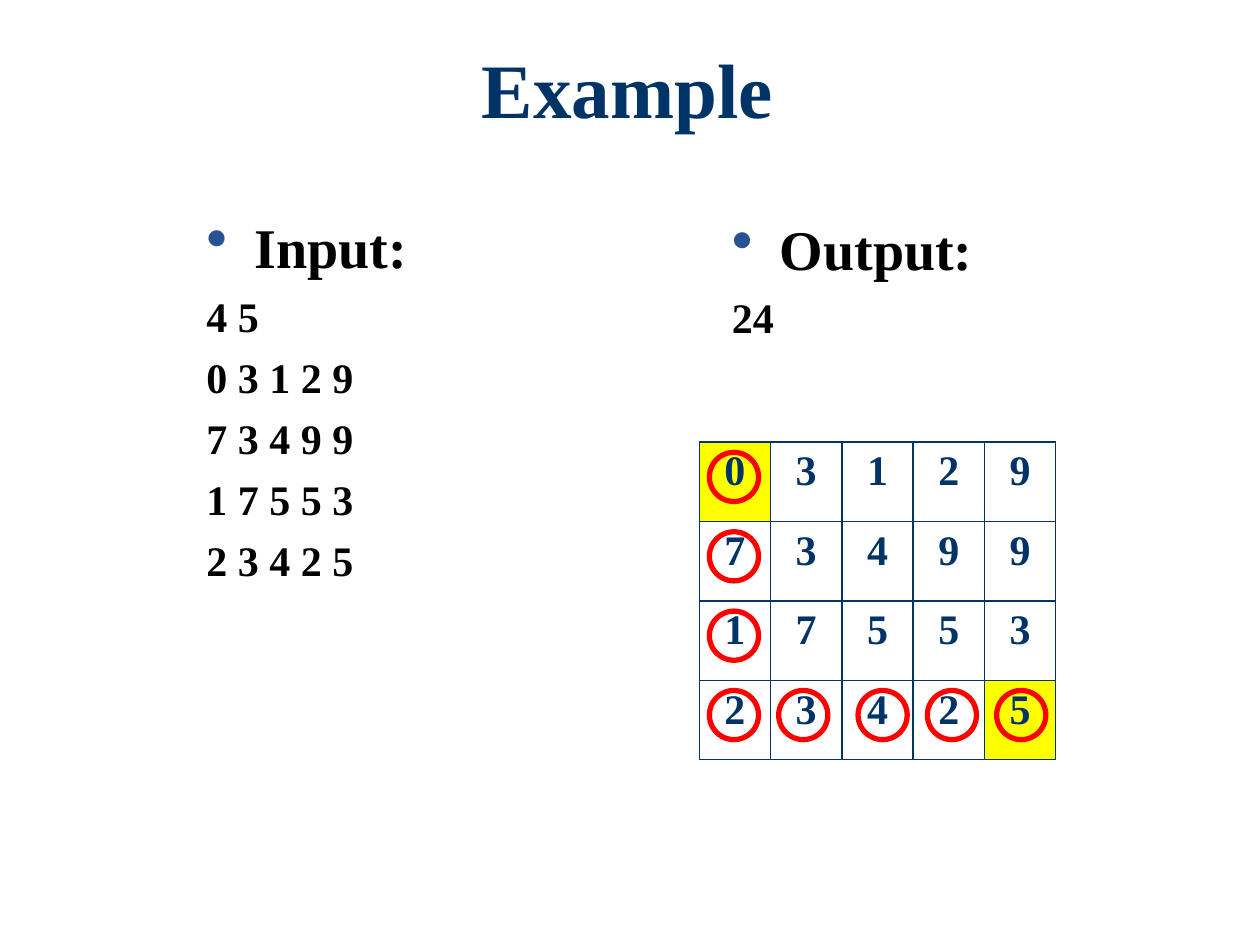
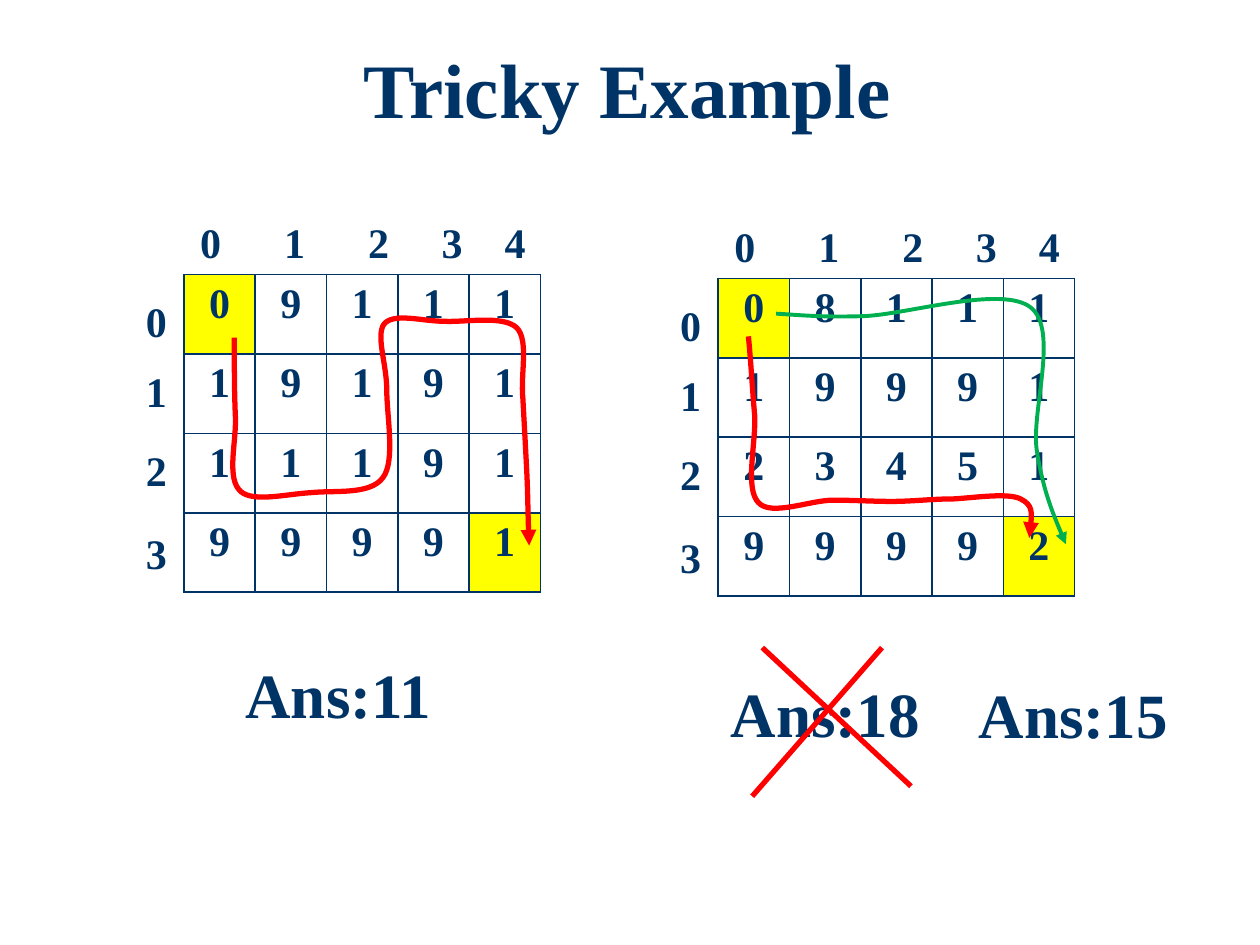
from lxml import etree
from pptx import Presentation
from pptx import util as u
from pptx.dml.color import RGBColor
from pptx.enum import shapes, text
from pptx.oxml.ns import qn

PX = 9144
NAVY, RED, GREEN, BLACK = "003366", "FF0000", "00B050", "000000"
YELLOW, WHITE, BLUE = "FFFF00", "FFFFFF", "275393"
LEFT, MID = text.PP_ALIGN.LEFT, text.PP_ALIGN.CENTER


def rgb(code):
    return RGBColor.from_string(code)


def node(root, tag, **attrs):
    return etree.SubElement(root, qn("a:" + tag), attrs)


def write(para, words, size=24, color=NAVY, align=LEFT, before=0, lines=None,
          bullet=False, tabs=()):
    props = para._p.get_or_add_pPr()
    if bullet:
        props.set("marL", str(38 * PX))
        props.set("indent", str(-38 * PX))
        node(node(props, "buClr"), "srgbClr", val=BLUE)
        node(props, "buSzPct", val="110000")
        node(props, "buChar", char="•")
    if tabs:
        stops = node(props, "tabLst")
        for stop in tabs:
            node(stops, "tab", pos=str(u.Pt(stop)), algn="l")
    para.alignment = align
    para.space_before = u.Pt(before)
    if lines:
        para.line_spacing = lines
    run = para.add_run()
    run.text = words
    font = run.font
    font.name, font.size, font.bold = "Times New Roman", u.Pt(size), True
    font.color.rgb = rgb(color)


class Deck:
    """Holds the shared style and the current slide."""

    def __init__(self):
        self.prs = Presentation()
        self.prs.slide_width, self.prs.slide_height = 1000 * PX, 750 * PX

    def page(self, title):
        slide = self.prs.slides.add_slide(self.prs.slide_layouts[6])
        self.items = slide.shapes
        self.label(title, 98, 36, 800, 92, wrap=True, size=44, align=MID, lines=0.9)

    def box(self, x, y, w, h, wrap):
        frame = self.items.add_textbox(x * PX, y * PX, w * PX, h * PX).text_frame
        frame.word_wrap = wrap
        return frame

    def label(self, words, x, y, w, h, wrap=False, **style):
        write(self.box(x, y, w, h, wrap).paragraphs[0], words, **style)

    def body(self, head, rows, x, y, w, h):
        frame = self.box(x, y, w, h, True)
        write(frame.paragraphs[0], head, size=32, color=BLACK, bullet=True)
        for row in rows:
            write(frame.add_paragraph(), row, color=BLACK, before=6)

    def grid(self, rows, x, y):
        high, wide = len(rows), len(rows[0])
        table = self.items.add_table(high, wide, x * PX, y * PX, 283 * PX, 252 * PX).table
        table.first_row = table.horz_banding = False
        ends = (0, 0), (high - 1, wide - 1)
        for r, row in enumerate(rows):
            for c, digit in enumerate(row):
                self.cell(table.cell(r, c), digit, YELLOW if (r, c) in ends else WHITE)

    def cell(self, cell, digit, back):
        cell.margin_left = cell.margin_right = 5 * PX
        cell.margin_top = cell.margin_bottom = 5 * PX
        props = cell._tc.get_or_add_tcPr()
        for side in "LRTB":
            edge = node(props, "ln" + side, w=str(u.Pt(1)))
            node(node(edge, "solidFill"), "srgbClr", val=NAVY)
        cell.fill.solid()
        cell.fill.fore_color.rgb = rgb(back)
        write(cell.text_frame.paragraphs[0], digit, align=MID)

    def maze(self, rows, x, y):
        self.grid(rows, x, y)
        self.label("0\t1\t2\t3\t4", x + 3, y - 51, 281, 50, wrap=True,
                   tabs=(48, 96, 138, 174))
        for row, drop in enumerate((12, 67, 130, 196)):
            self.label(str(row), x - 40, y + drop, 37, 50)

    def stroke(self, line, color, width=3):
        line.color.rgb = rgb(color)
        line.width = u.Pt(width)

    def ring(self, x, y):
        ring = self.items.add_shape(shapes.MSO_SHAPE.OVAL, x * PX, y * PX, 39 * PX, 39 * PX)
        ring.shadow.inherit = False
        ring.fill.background()
        self.stroke(ring.line, RED)

    def slash(self, *ends):
        line = self.items.add_connector(shapes.MSO_CONNECTOR.STRAIGHT, *(n * PX for n in ends))
        self.stroke(line.line, RED)
        node(line.element.spPr, "effectLst")

    def curve(self, points, color, width=3):
        pen = self.items.build_freeform(*points[0], scale=PX)
        pen.add_line_segments(points[1:], close=False)
        form = pen.convert_to_shape()
        form.shadow.inherit = False
        form.fill.background()
        self.stroke(form.line, color, width)
        track = form.element.find(".//" + qn("a:path"))
        legs = track.findall(qn("a:lnTo"))
        for i in range(0, len(legs), 3):
            bend = node(track, "cubicBezTo")
            for leg in legs[i:i + 3]:
                bend.append(leg[0])
                track.remove(leg)
        node(form.element.find(".//" + qn("a:ln")), "tailEnd", type="triangle")


def sample(deck):
    rows = ["0 3 1 2 9", "7 3 4 9 9", "1 7 5 5 3", "2 3 4 2 5"]
    deck.page("Example")
    deck.body("Input:", ["4 5"] + rows, 154, 164, 307, 526)
    deck.body("Output:", ["24"], 571, 165, 354, 492)
    deck.grid([row.split() for row in rows], 555, 351)
    for row in range(3):
        deck.ring(563, 359 + 63 * row)
    for x in (563, 618, 681, 736, 791):
        deck.ring(x, 548)


def tricky(deck):
    deck.page("Tricky Example")
    deck.maze(["09111", "19191", "11191", "99991"], 146, 218)
    deck.maze(["08111", "19991", "23451", "99992"], 570, 221)
    deck.label("Ans:11", 185, 515, 169, 71, size=36)
    deck.label("Ans:18", 570, 530, 172, 71, size=36)
    deck.slash(605, 514, 723, 624)
    deck.slash(597, 632, 700, 514)
    deck.curve([(186, 268), (186, 290), (186, 313), (187, 333), (187, 354), (180, 380),
                (191, 390), (201, 399), (228, 392), (247, 391), (266, 389), (294, 393),
                (304, 379), (314, 366), (307, 330), (307, 309), (307, 289), (298, 266),
                (305, 257), (313, 248), (335, 255), (352, 255), (369, 256), (399, 250),
                (410, 260), (420, 270), (413, 297), (415, 316), (416, 334), (417, 352),
                (418, 372), (419, 391), (419, 412), (420, 433)], RED)
    deck.curve([(594, 267), (596, 287), (597, 308), (599, 330), (600, 352), (591, 388),
                (602, 399), (612, 410), (643, 397), (661, 397), (679, 397), (692, 398),
                (708, 398), (724, 398), (740, 396), (757, 396), (774, 395), (800, 391),
                (810, 396), (820, 401), (819, 414), (817, 427)], RED)
    deck.label("Ans:15", 767, 531, 172, 71, size=36)
    deck.curve([(616, 249), (634, 250), (651, 252), (685, 251), (719, 250), (795, 226),
                (818, 244), (841, 262), (818, 327), (823, 358), (828, 389), (837, 411),
                (846, 432)], GREEN, 2.25)


def main():
    deck = Deck()
    sample(deck)
    tricky(deck)
    deck.prs.save("out.pptx")


if __name__ == "__main__":
    main()
